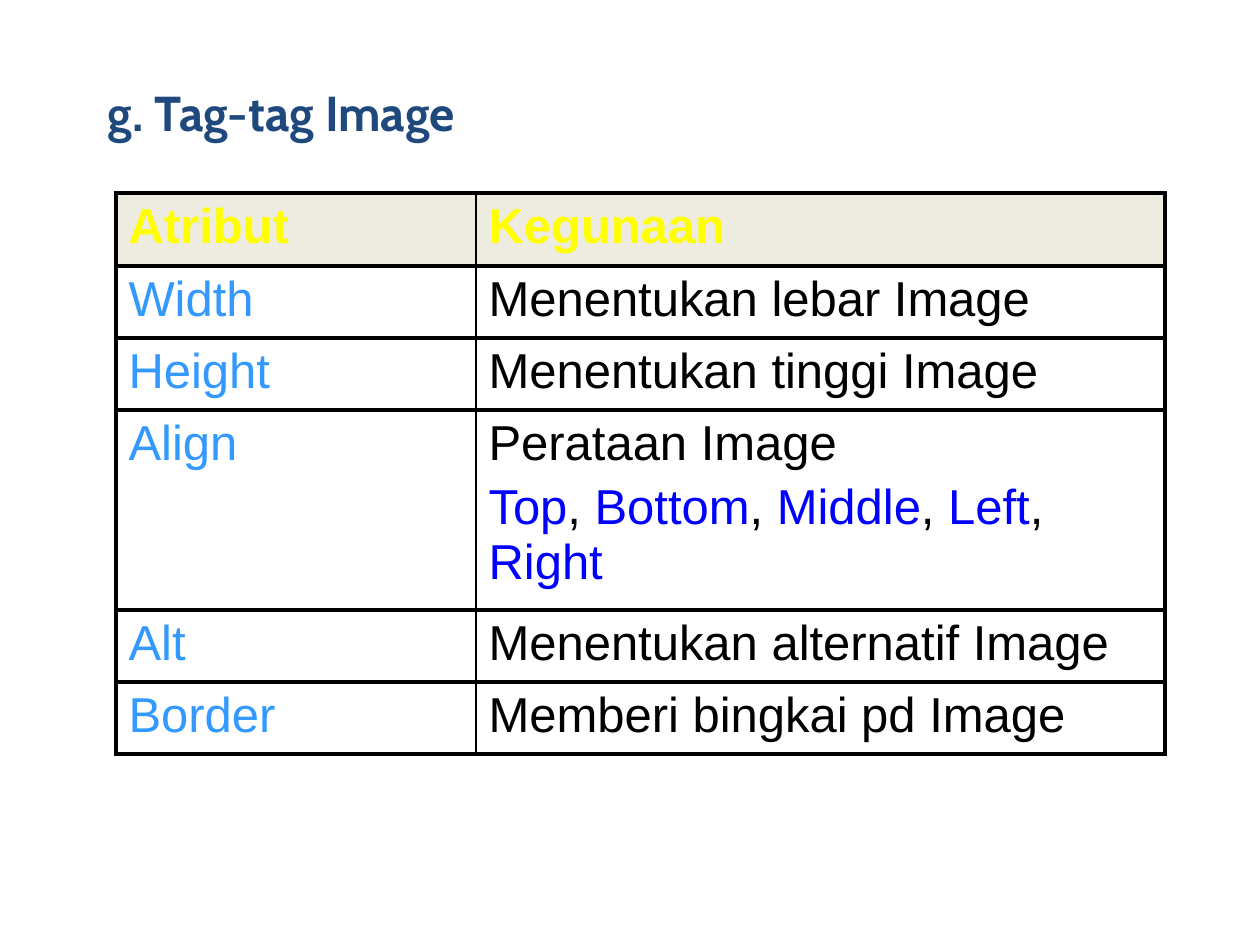
from dataclasses import dataclass
from lxml.etree import SubElement
from pptx import Presentation
from pptx.dml.color import RGBColor as RGB
from pptx.enum.text import MSO_ANCHOR as Anchor, PP_ALIGN as Align
from pptx.oxml.ns import qn
from pptx.util import Emu, Pt

PX_PER_INCH = 126


def px(n):
    return Emu(round(n * 914400 / PX_PER_INCH))


@dataclass(frozen=True)
class Theme:
    title_font: str = "Cabin"
    body_font: str = "Arial"
    size: float = 28
    para_gap: float = 5.6
    thick: float = 2.25
    thin: float = 1
    title: str = "1F497D"
    header: str = "FFFF00"
    header_fill: str = "EEECE1"
    attribute: str = "3399FF"
    value: str = "0000FF"
    text: str = "000000"
    border: str = "000000"


def add_run(p, text, *, font, size, color, bold=False):
    r = p.add_run()
    r.text = text
    r.font.name = font
    r.font.size = Pt(size)
    r.font.bold = bold
    r.font.color.rgb = RGB.from_string(color)


class SlideBuilder:
    def __init__(self, prs, theme):
        self.theme = theme
        self.s = prs.slides.add_slide(prs.slide_layouts[5])

    def title(self, text, x, y, w, h):
        t = self.theme
        sp = self.s.shapes.title
        sp.left, sp.top, sp.width, sp.height = map(px, (x, y, w, h))
        tf = sp.text_frame
        tf.word_wrap = True
        tf.vertical_anchor = Anchor.TOP
        p = tf.paragraphs[0]
        p.alignment = Align.LEFT
        add_run(p, text, font=t.title_font, size=t.size, color=t.title, bold=True)

    def table(self, rows, x, y, widths, heights):
        frame = self.s.shapes.add_table(
            len(rows), len(widths), px(x), px(y), px(sum(widths)), px(sum(heights)))
        tbl = frame.table
        tbl.horz_banding = False
        for col, w in zip(tbl.columns, widths):
            col.width = px(w)
        for row, h in zip(tbl.rows, heights):
            row.height = px(h)
        for i, row in enumerate(rows):
            for j, paragraphs in enumerate(row):
                self.cell(tbl.cell(i, j), paragraphs, i == 0, j == 0, j == len(row) - 1)

    def cell(self, cell, paragraphs, header, first, last):
        t = self.theme
        tf = cell.text_frame
        for k, runs in enumerate(paragraphs):
            p = tf.add_paragraph() if k else tf.paragraphs[0]
            if k:
                p.space_before = Pt(t.para_gap)
            for text, color in runs:
                add_run(p, text, font=t.body_font, size=t.size, color=color, bold=header)
        self.border(cell, "lnL", t.thick if first else t.thin)
        self.border(cell, "lnR", t.thick if last else t.thin)
        self.border(cell, "lnT", t.thick)
        self.border(cell, "lnB", t.thick)
        if header:
            cell.fill.solid()
            cell.fill.fore_color.rgb = RGB.from_string(t.header_fill)
        else:
            cell.fill.background()

    def border(self, cell, side, width):
        ln = SubElement(cell._tc.get_or_add_tcPr(), qn(f"a:{side}"), w=str(Pt(width)))
        fill = SubElement(ln, qn("a:solidFill"))
        SubElement(fill, qn("a:srgbClr"), val=self.theme.border)


def main():
    prs = Presentation()
    prs.slide_width, prs.slide_height = px(1260), px(945)
    theme = Theme()
    slide = SlideBuilder(prs, theme)
    slide.title("g. Tag-tag Image", 95, 76, 1071, 105)

    align_values = []
    for value in ("Top", "Bottom", "Middle", "Left", "Right"):
        if align_values:
            align_values.append((", ", theme.text))
        align_values.append((value, theme.value))

    attributes = [
        ("Width", "Menentukan lebar Image"),
        ("Height", "Menentukan tinggi Image"),
        ("Align", "Perataan Image", align_values),
        ("Alt", "Menentukan alternatif Image"),
        ("Border", "Memberi bingkai pd Image"),
    ]
    rows = [[[[(head, theme.header)]] for head in ("Atribut", "Kegunaan")]]
    for name, use, *details in attributes:
        rows.append([[[(name, theme.attribute)]], [[(use, theme.text)], *details]])
    slide.table(rows, 116, 193, (360, 689), (73, 72, 72, 200, 72, 72))
    prs.save("out.pptx")


if __name__ == "__main__":
    main()
